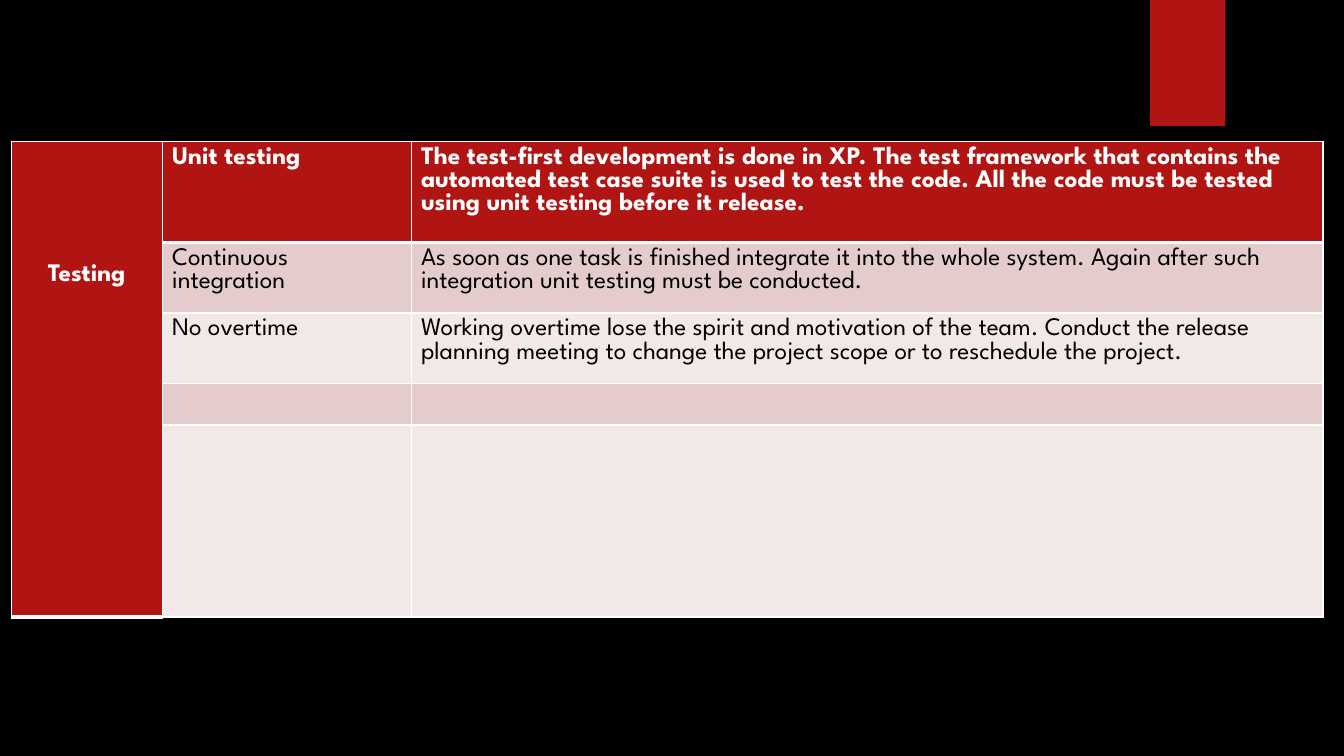
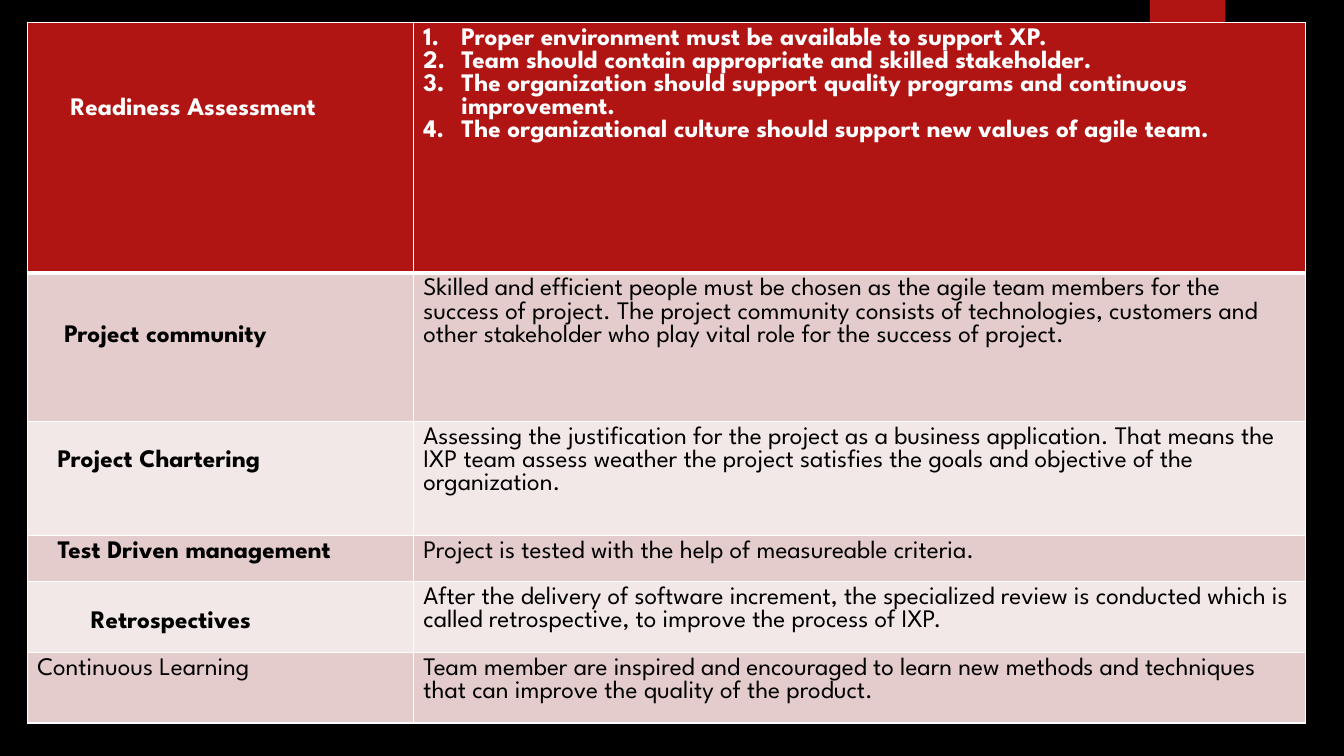
from lxml.etree import SubElement
from pptx import Presentation
from pptx.dml.color import RGBColor
from pptx.enum.shapes import MSO_SHAPE
from pptx.enum.text import PP_ALIGN
from pptx.oxml.ns import qn
from pptx.util import Cm, Pt

COLORS = {"back": "000000", "red": "B01513", "rose": "E4CCCC",
          "pale": "F2E8E7", "white": "FFFFFF", "black": "000000"}
FONT = {"name": "League Spartan", "size": Pt(18)}
LINE = 0.59     # height of one text line, cm
INSET = 0.25    # left cell margin, cm
TOP = 0.13      # top cell margin, cm
HANG = 0.96     # hanging indent of numbered items, cm

# Content: a cell is a string, a list (numbered) or a dict with format values;
# "down" counts text lines, "indent" is in cm
TABLES = [
    {"at": (0.28, 3.56), "cols": (3.81, 6.27, 22.98),
     "heights": (2.55, 1.78, 1.78, 1.04, 4.84), "merge_first_column": True,
     "rows": [
         ({"text": "Testing", "down": 5, "align": PP_ALIGN.CENTER}, "Unit testing",
          "The test-first development is done in XP. The test framework that contains "
          "the automated test case suite is used to test the code. All the code must be "
          "tested using unit testing before it release."),
         ("", "Continuous integration",
          "As soon as one task is finished integrate it into the whole system. Again "
          "after such integration unit testing must be conducted."),
         ("", "No overtime",
          "Working overtime lose the spirit and motivation of the team. Conduct the "
          "release planning meeting to change the project scope or to reschedule the "
          "project."),
         ("", "", ""),
         ("", "", ""),
     ]},
    {"at": (0.69, 0.56), "cols": (9.73, 22.48),
     "heights": (6.32, 3.74, 2.87, 1.17, 1.78, 1.78), "merge_first_column": False,
     "rows": [
         ({"text": "Readiness Assessment", "down": 3, "indent": 0.84},
          ["Proper environment must be available to support XP.",
           "Team should contain appropriate and skilled stakeholder.",
           "The organization should support quality programs and continuous improvement.",
           "The organizational culture should support new values of agile team."]),
         ({"text": "Project community", "down": 2, "indent": 0.68, "bold": True},
          "Skilled and efficient people must be chosen as the agile team members for the "
          "success of project. The project community consists of technologies, customers "
          "and other stakeholder who play vital role for the success of project."),
         ({"text": "Project Chartering", "down": 1, "indent": 0.51, "bold": True},
          "Assessing the justification for the project as a business application. That "
          "means the IXP team assess weather the project satisfies the goals and objective "
          "of the organization."),
         ({"text": "Test Driven management", "indent": 0.51, "bold": True},
          "Project is tested with the help of measureable criteria."),
         ({"text": "Retrospectives", "down": 1, "indent": 1.35, "bold": True},
          "After the delivery of software increment, the specialized review is conducted "
          "which is called retrospective, to improve the process of IXP."),
         ("Continuous Learning",
          "Team member are inspired and encouraged to learn new methods and techniques "
          "that can improve the quality of the product."),
     ]},
]


def rgb(name):
    return RGBColor.from_string(COLORS[name])


def set_borders(cell, top, bottom):
    """White cell borders; top and bottom widths in points."""
    tcPr = cell._tc.get_or_add_tcPr()
    for side, width in (("L", 1), ("R", 1), ("T", top), ("B", bottom)):
        ln = SubElement(tcPr, qn(f"a:ln{side}"), w=str(Pt(width)))
        SubElement(SubElement(ln, qn("a:solidFill")), qn("a:srgbClr"), val=COLORS["white"])


def number(p):
    pPr = p._p.get_or_add_pPr()
    pPr.set("marL", str(Cm(HANG)))
    pPr.set("indent", str(-Cm(HANG)))
    SubElement(pPr, qn("a:buAutoNum"), type="arabicPeriod")


def fill_cell(cell, content, row):
    head = row == 0
    item = content if isinstance(content, dict) else {"text": content}
    set_borders(cell, 3 if row == 1 else 1, 3 if head else 1)
    cell.fill.solid()
    cell.fill.fore_color.rgb = rgb("red" if head else ("pale", "rose")[row % 2])
    cell.margin_left = Cm(INSET + item.get("indent", 0))
    cell.margin_top = Cm(TOP + LINE * item.get("down", 0))

    numbered = isinstance(item["text"], list)
    lines = item["text"] if numbered else [item["text"]]
    tf = cell.text_frame
    for i, line in enumerate(lines):
        p = tf.add_paragraph() if i else tf.paragraphs[0]
        p.alignment = item.get("align", PP_ALIGN.LEFT)
        if numbered:
            number(p)
        if line:
            r = p.add_run()
            r.text = line
            for key, value in {**FONT, "bold": head or item.get("bold", False)}.items():
                setattr(r.font, key, value)
            r.font.color.rgb = rgb("white" if head else "black")


def add_band(s):
    band = s.shapes.add_shape(MSO_SHAPE.RECTANGLE, Cm(28.98), 0, Cm(1.9), Cm(3.18))
    band.shadow.inherit = False
    band.fill.solid()
    band.fill.fore_color.rgb = rgb("red")
    band.line.fill.background()


def add_grid(s, data):
    cols, heights = data["cols"], data["heights"]
    left, top = data["at"]
    table = s.shapes.add_table(len(heights), len(cols), Cm(left), Cm(top),
                               Cm(sum(cols)), Cm(sum(heights))).table
    table.horz_banding = False
    for column, width in zip(table.columns, cols):
        column.width = Cm(width)
    for row, height in zip(table.rows, heights):
        row.height = Cm(height)
    if data["merge_first_column"]:
        table.cell(0, 0).merge(table.cell(len(heights) - 1, 0))
    for i, contents in enumerate(data["rows"]):
        for j, content in enumerate(contents):
            cell = table.cell(i, j)
            if not cell.is_spanned:
                fill_cell(cell, content, i)


def main():
    prs = Presentation()
    prs.slide_width, prs.slide_height = Cm(33.87), Cm(19.05)
    # Shared black background
    back = prs.slide_master.background.fill
    back.solid()
    back.fore_color.rgb = rgb("back")
    for data in TABLES:
        s = prs.slides.add_slide(prs.slide_layouts[6])
        add_band(s)
        add_grid(s, data)
    prs.save("out.pptx")


if __name__ == "__main__":
    main()
